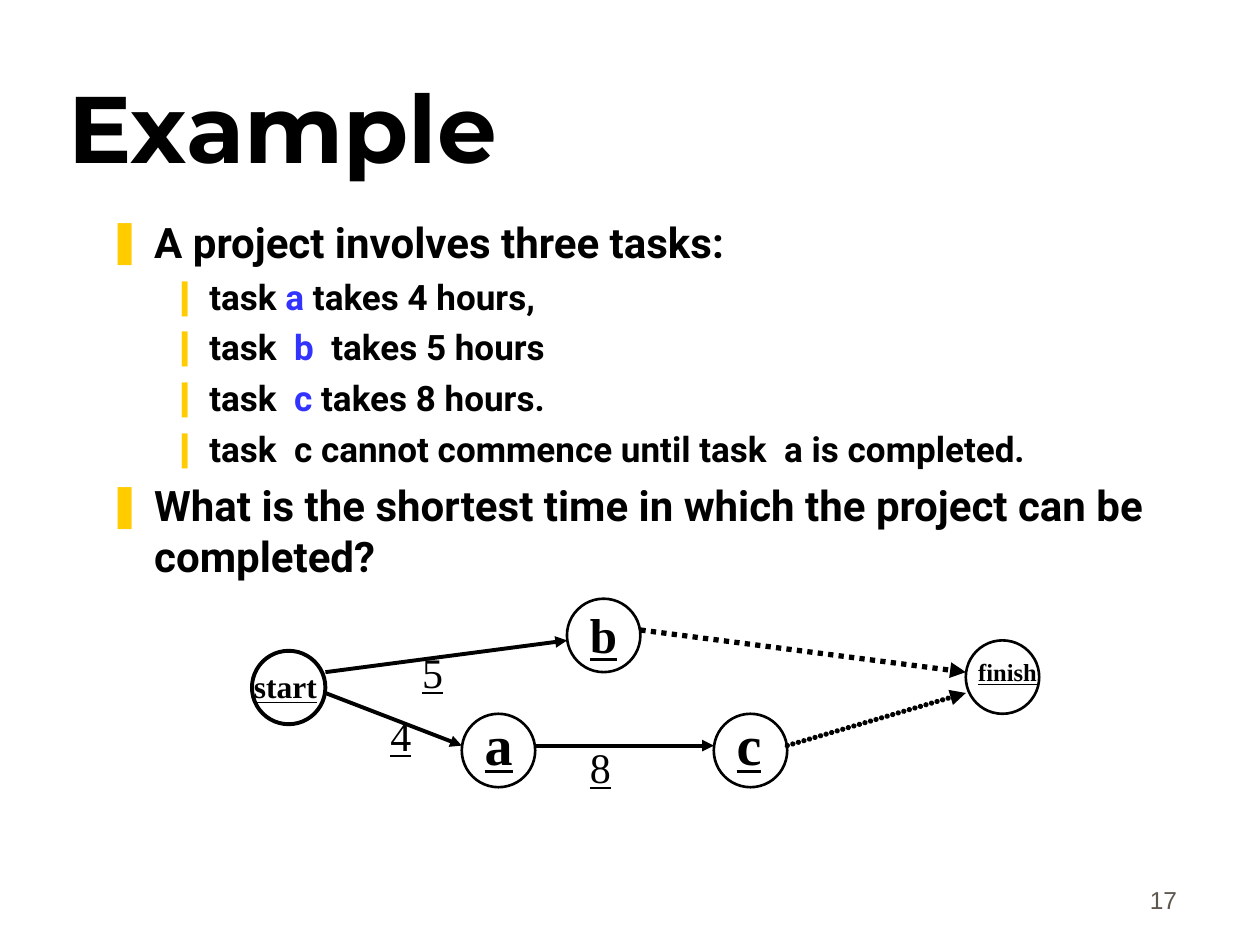
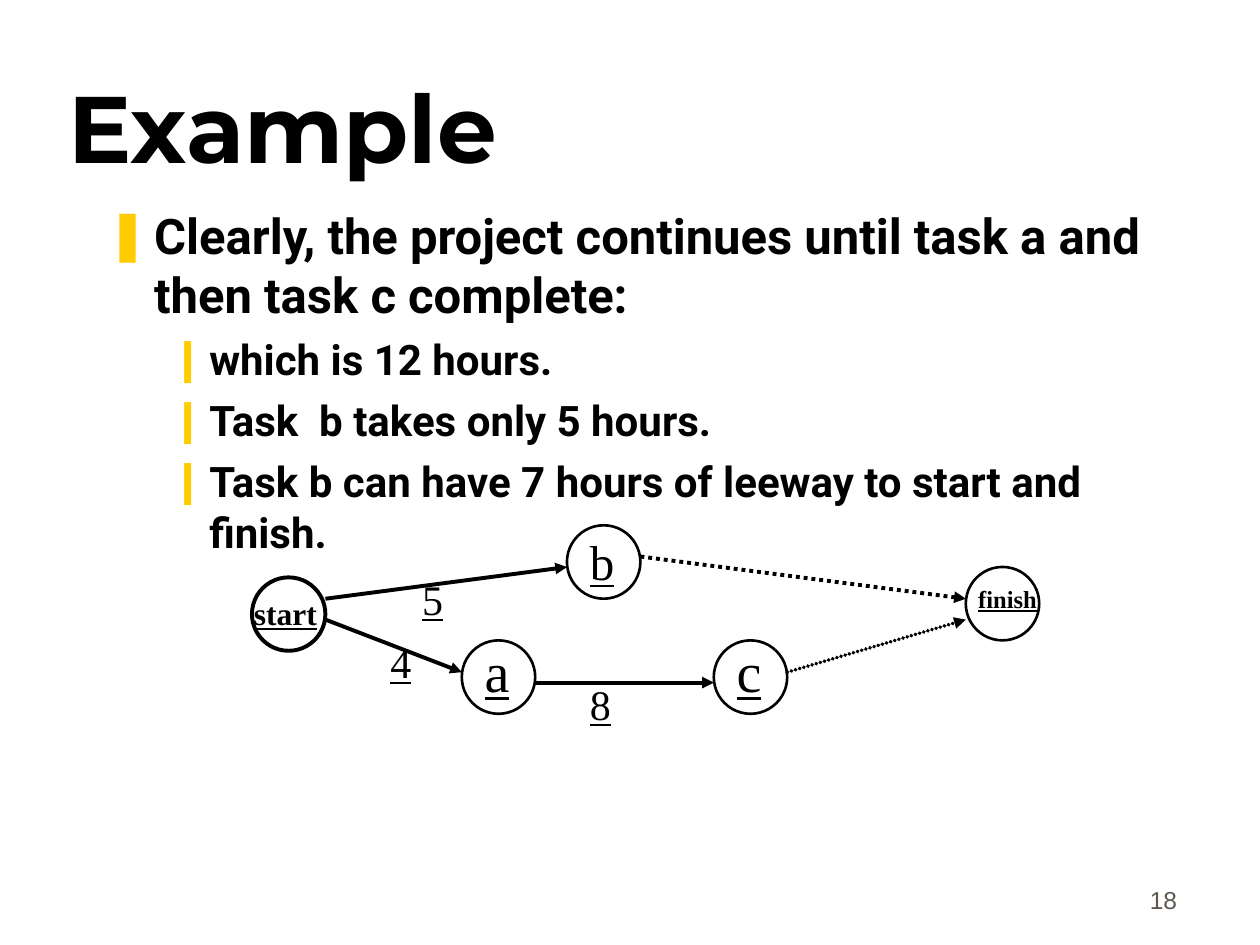
from lxml import etree
from pptx import Presentation
from pptx import util as u
from pptx.dml import color
from pptx.enum import shapes, text
from pptx.oxml import ns

HUE = {"ink": "000000", "task": "3333FF", "mark": "FFCC00", "page": "5E574E"}
SERIF = "Times New Roman"

# Level and text of each point; task names between asterisks are coloured
SLIDES = [
    {
        "page": "17", "top": 4.23, "sizes": (24, 20), "gaps": (6, 5),
        "points": [
            (0, "A project involves three tasks:"),
            (1, "task *a* takes 4 hours,"),
            (1, "task  *b*  takes 5 hours"),
            (1, "task  *c* takes 8 hours."),
            (1, "task  c cannot commence until task  a is completed."),
            (0, "What is the shortest time in which the project can be "
                "completed?"),
        ],
        "rise": 0, "drop": 0, "dots": 3, "bold": True,
    },
    {
        "page": "18", "top": 4.02, "sizes": (28, 24), "gaps": (7, 6),
        "points": [
            (0, "Clearly, the project continues until task a and then "
                "task c complete:"),
            (1, "which is 12 hours."),
            (1, "Task  b takes only 5 hours."),
            (1, "Task b can have 7 hours of leeway to start and finish."),
        ],
        "rise": 1.48, "drop": 0.21, "dots": 2.25, "bold": False,
    },
]
MARKS = [("❚", 0.95, 0.95), ("❙", 2.06, 0.79)]  # bullet, margin, hanging

# Network in cm: node left and top, line width; label offset, width and size
SIDE = 1.48
NODES = {
    "start": (5.08, 13.12, 2.25, (-0.21, 0.21, 2.54, 18)),
    "a": (9.31, 14.39, 1.5, (0.21, -0.21, 1.27, 32)),
    "c": (14.39, 14.39, 1.5, (0.21, -0.21, 1.48, 32)),
    "b": (11.43, 12.07, 1.5, (0.21, 0, 1.06, 28)),
    "finish": (19.47, 12.91, 1.5, (0, 0.21, 2.54, 14)),
}
# From, to, height at each end, dash, hours with their left and top
LINKS = [
    ("start", "a", 13.97, 15.03, None, ("4", 7.62, 14.18)),
    ("a", "c", 15.03, 15.03, None, ("8", 11.64, 14.82)),
    ("c", "finish", 15.03, 13.97, "round", None),
    ("start", "b", 13.55, 12.91, None, ("5", 8.26, 12.91)),
    ("b", "finish", 12.7, 13.55, "square", None),
]


def rgb(name):
    return color.RGBColor.from_string(HUE[name])


def add(node, tag, **attrs):
    return etree.SubElement(node, ns.qn("a:" + tag), attrs)


def write(para, words, hue="ink", **form):
    run = para.add_run()
    run.text = words
    for key, value in form.items():
        setattr(run.font, key, value)
    run.font.color.rgb = rgb(hue)


def box(slide, left, top, width, height):
    frame = slide.shapes.add_textbox(
        *map(u.Cm, (left, top, width, height))).text_frame
    frame.word_wrap = True
    return frame


def head(slide):
    title = slide.shapes.title
    place = {"left": 1.12, "top": 0.62, "width": 21.59, "height": 3.18}
    for key, value in place.items():
        setattr(title, key, u.Cm(value))
    frame = title.text_frame
    frame.vertical_anchor = text.MSO_ANCHOR.BOTTOM
    frame.auto_size = text.MSO_AUTO_SIZE.NONE
    para = frame.paragraphs[0]
    para.alignment = text.PP_ALIGN.LEFT
    write(para, "Example", name="Montserrat", size=u.Pt(54), bold=True)


def foot(slide, page):
    frame = box(slide, 18.7, 17.29, 5.28, 1.27)
    frame.vertical_anchor = text.MSO_ANCHOR.BOTTOM
    para = frame.paragraphs[0]
    para.alignment = text.PP_ALIGN.RIGHT
    write(para, page, "page", name="Arial", size=u.Pt(14))


def mark(para, level):
    """Give a paragraph the bullet and indent of its level."""
    sign, margin, hang = MARKS[level]
    para.level = level
    props = para._p.get_or_add_pPr()
    props.set("marL", str(u.Cm(margin)))
    props.set("indent", str(-u.Cm(hang)))
    add(add(props, "buClr"), "srgbClr", val=HUE["mark"])
    add(props, "buSzPct", val="100000")
    add(props, "buFont", typeface="Arial")
    add(props, "buChar", char=sign)


def body(slide, data):
    frame = box(slide, 1.91, data["top"], 21.59, 11.43)
    for i, (level, words) in enumerate(data["points"]):
        para = frame.add_paragraph() if i else frame.paragraphs[0]
        mark(para, level)
        if i:
            para.space_before = u.Pt(data["gaps"][level])
        for j, part in enumerate(words.split("*")):
            write(para, part, "task" if j % 2 else "ink", name="Roboto",
                  size=u.Pt(data["sizes"][level]), bold=True)


def label(slide, words, left, top, width, size, bold):
    frame = box(slide, left, top, width, size * 0.04 + 0.25)
    write(frame.paragraphs[0], words, name=SERIF, size=u.Pt(size),
          bold=bold, underline=True)


def link(slide, ends, width, dash):
    line = slide.shapes.add_connector(
        shapes.MSO_CONNECTOR.STRAIGHT, *map(u.Cm, ends))
    line.line.width = u.Pt(width)
    line.line.color.rgb = rgb("ink")
    pen = line.line._get_or_add_ln()
    if dash == "square":
        add(pen, "prstDash", val="sysDot")
    elif dash == "round":
        pen.set("cap", "rnd")
        add(add(pen, "custDash"), "ds", d="100000", sp="10000")
    add(pen, "tailEnd", type="triangle")
    add(line._element.spPr, "effectLst")


def net(slide, data):
    """Draw the task network, raised as far as the slide asks."""
    rise = data["rise"]
    for name, (left, top, width, _) in NODES.items():
        disc = slide.shapes.add_shape(
            shapes.MSO_SHAPE.OVAL,
            *map(u.Cm, (left, top - rise, SIDE, SIDE)))
        disc.shadow.inherit = False
        disc.fill.background()
        disc.line.width = u.Pt(width)
        disc.line.color.rgb = rgb("ink")
    for one, two, y1, y2, dash, hours in LINKS:
        # A level link moves down together with its hours
        shift = (data["drop"] if y1 == y2 else 0) - rise
        ends = (NODES[one][0] + SIDE, y1 + shift, NODES[two][0], y2 + shift)
        link(slide, ends, data["dots"] if dash else 2.25, dash)
        if hours:
            words, left, top = hours
            label(slide, words, left, top + shift, 1.69, 24, False)
    for name, (left, top, _, (dx, dy, width, size)) in NODES.items():
        label(slide, name, left + dx, top + dy - rise, width, size,
              data["bold"] or len(name) > 1)


def main():
    deck = Presentation()
    deck.slide_width, deck.slide_height = u.Cm(25.4), u.Cm(19.05)
    for data in SLIDES:
        slide = deck.slides.add_slide(deck.slide_layouts[5])
        head(slide)
        body(slide, data)
        net(slide, data)
        foot(slide, data["page"])
    deck.save("out.pptx")


if __name__ == "__main__":
    main()
